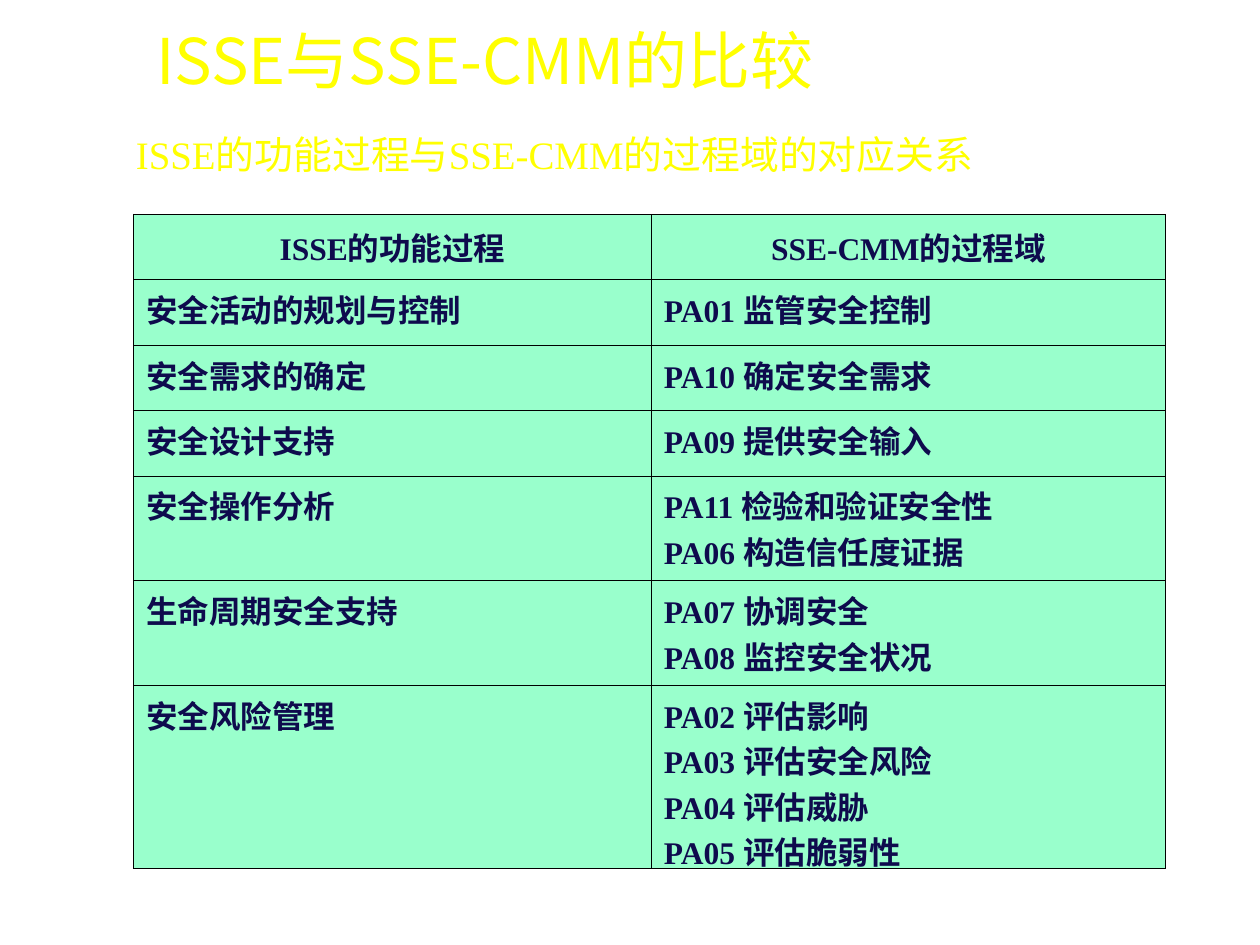
from lxml import etree
from pptx import Presentation, util as u
from pptx.dml.color import RGBColor
from pptx.enum import text
from pptx.oxml import ns

YELLOW = RGBColor(0xFF, 0xFF, 0x00)
NAVY = RGBColor(0x0E, 0x0B, 0x4D)
MINT = RGBColor(0x99, 0xFF, 0xCC)
BLACK = RGBColor(0, 0, 0)
SERIF, SANS = "Times New Roman", "Noto Sans CJK SC"
MIDDLE, TOP = text.MSO_ANCHOR.MIDDLE, text.MSO_ANCHOR.TOP
LEFT, CENTER = text.PP_ALIGN.LEFT, text.PP_ALIGN.CENTER

HEADER = ("ISSE的功能过程", "SSE-CMM的过程域")
PROCESSES = [
    ("安全活动的规划与控制", ["PA01 监管安全控制"]),
    ("安全需求的确定", ["PA10 确定安全需求"]),
    ("安全设计支持", ["PA09 提供安全输入"]),
    ("安全操作分析", ["PA11 检验和验证安全性", "PA06 构造信任度证据"]),
    ("生命周期安全支持", ["PA07 协调安全", "PA08 监控安全状况"]),
    ("安全风险管理", ["PA02 评估影响", "PA03 评估安全风险",
                "PA04 评估威胁", "PA05 评估脆弱性"]),
]
COLUMNS = (4.11, 4.08)
ROW_HEIGHTS = {1: 0.52, 2: 0.83, 4: 1.45}  # by number of lines


def write(tf, lines, size, color, font=SERIF, bold=False, align=LEFT):
    for i, line in enumerate(lines):
        p = tf.paragraphs[0] if i == 0 else tf.add_paragraph()
        p.alignment = align
        r = p.add_run()
        r.text = line
        r.font.size, r.font.bold, r.font.name = u.Pt(size), bold, font
        r.font.color.rgb = color
        ea = etree.SubElement(r.font._element, ns.qn("a:ea"))
        ea.set("typeface", SANS)


def set_borders(cell, left_width):
    tc_pr = cell._tc.get_or_add_tcPr()
    for i, side in enumerate("LRTB"):
        ln = etree.Element(ns.qn(f"a:ln{side}"))
        ln.set("w", str(u.Pt(left_width if side == "L" else 0.45)))
        fill = etree.SubElement(ln, ns.qn("a:solidFill"))
        etree.SubElement(fill, ns.qn("a:srgbClr")).set("val", str(BLACK))
        tc_pr.insert(i, ln)


def add_title(s, box):
    sp = s.shapes.title
    sp.left, sp.top, sp.width, sp.height = map(u.Inches, box)
    tf = sp.text_frame
    tf.vertical_anchor, tf.word_wrap = MIDDLE, True
    tf.auto_size = text.MSO_AUTO_SIZE.NONE
    write(tf, ["ISSE与SSE-CMM的比较"], 36, YELLOW, font=SANS)


def add_subtitle(s, box):
    tf = s.shapes.add_textbox(*map(u.Inches, box)).text_frame
    tf.vertical_anchor, tf.word_wrap = MIDDLE, True
    write(tf, ["ISSE的功能过程与SSE-CMM的过程域的对应关系"], 22.2, YELLOW)


def add_process_table(s, left, top):
    rows = [([HEADER[0]], [HEADER[1]])]
    rows += [([process], areas) for process, areas in PROCESSES]
    heights = [ROW_HEIGHTS[len(areas)] for _, areas in rows]
    box = left, top, sum(COLUMNS), sum(heights)
    table = s.shapes.add_table(len(rows), 2, *map(u.Inches, box)).table
    for column, width in zip(table.columns, COLUMNS):
        column.width = u.Inches(width)
    for i, (row, height) in enumerate(zip(rows, heights)):
        table.rows[i].height = u.Inches(height)
        for j, lines in enumerate(row):
            cell = table.cell(i, j)
            cell.fill.solid()
            cell.fill.fore_color.rgb = MINT
            cell.vertical_anchor = TOP if i else MIDDLE
            write(cell.text_frame, lines, 18, NAVY, bold=True,
                  align=LEFT if i else CENTER)
            set_borders(cell, 0.75 if i and j == 0 else 0.45)


def main():
    prs = Presentation()
    prs.slide_width, prs.slide_height = u.Inches(10), u.Inches(7.5)
    s = prs.slides.add_slide(prs.slide_layouts[5])
    add_subtitle(s, (0.98, 0.99, 8.11, 0.47))
    add_process_table(s, 1.06, 1.7)
    add_title(s, (1.14, 0, 8.15, 0.94))
    prs.save("out.pptx")


if __name__ == "__main__":
    main()
